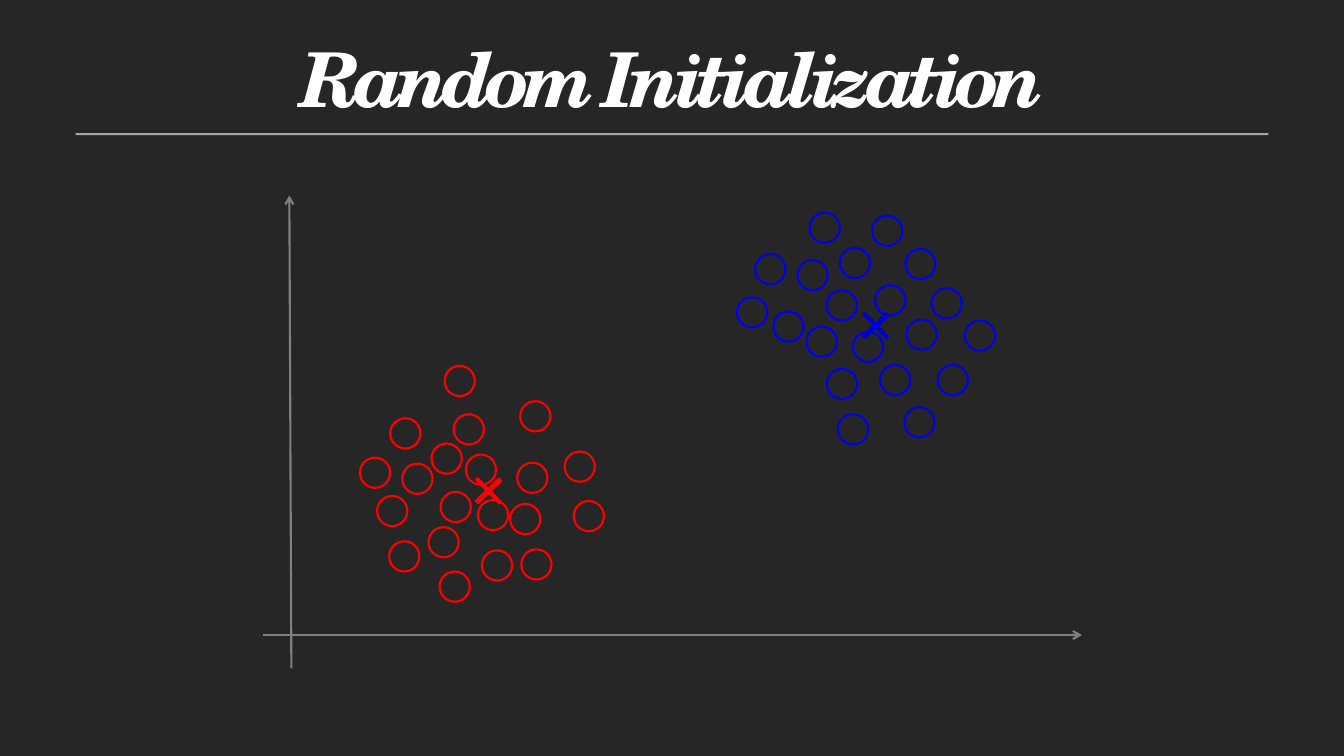
import pptx
import pptx.util
import pptx.dml.color
import pptx.enum.shapes
import pptx.enum.text
import pptx.oxml
import pptx.oxml.ns
from pptx.util import Inches

SHAPES = pptx.enum.shapes.MSO_SHAPE
POINT_SIZE = 0.3
RED_POINTS = [
    (4.74, 4.96), (4.36, 5.67), (3.86, 5.37), (5.17, 5.45), (3.99, 4.6),
    (4.62, 4.51), (4.25, 5.23), (3.74, 4.92), (5.06, 5), (3.87, 4.15),
    (5.13, 4.59), (4.78, 5.46), (4.37, 4.88), (5.69, 4.97), (4.5, 4.11),
    (5.16, 3.98), (3.57, 4.54), (4.28, 4.4), (5.6, 4.48), (4.41, 3.63),
]
BLUE_POINTS = [
    (8.73, 3.62), (8.2, 2.88), (8.31, 4.11), (9.3, 3.62), (7.67, 3.09),
    (8.65, 2.14), (8.46, 3.29), (8.2, 3.66), (8.99, 3.17), (7.49, 2.52),
    (8.68, 2.83), (8.97, 4.04), (8, 3.24), (9.57, 3.18), (8.33, 2.46),
    (8.98, 2.47), (7.31, 2.95), (7.91, 2.58), (9.24, 2.86), (8.03, 2.11),
]


def color(value):
    return pptx.dml.color.RGBColor.from_string(value)


def add_mark(slide, kind, left, top, width, height, fill=None, line=None):
    mark = slide.shapes.add_shape(
        kind, Inches(left), Inches(top), Inches(width), Inches(height))
    mark.shadow.inherit = False
    if fill:
        mark.fill.solid()
        mark.fill.fore_color.rgb = color(fill)
    else:
        mark.fill.background()
    if line:
        mark.line.color.rgb = color(line)
        mark.line.width = pptx.util.Pt(1.5)
    else:
        mark.line.fill.background()
    return mark


def add_title(slide, wording):
    title = slide.shapes.add_textbox(
        Inches(1.13), Inches(0.05), Inches(11.08), Inches(1.17))
    frame = title.text_frame
    frame.word_wrap = True
    frame.auto_size = pptx.enum.text.MSO_AUTO_SIZE.SHAPE_TO_FIT_TEXT
    frame.margin_left = frame.margin_right = frame.margin_bottom = 0
    frame.margin_top = Inches(0.05)
    paragraph = frame.paragraphs[0]
    paragraph.alignment = pptx.enum.text.PP_ALIGN.CENTER
    paragraph.line_spacing = pptx.util.Pt(80.7)
    run = paragraph.add_run()
    run.text = wording
    run.font.name = "TeX Gyre Schola"
    run.font.size = pptx.util.Pt(54)
    run.font.bold = run.font.italic = True
    run.font.color.rgb = color("FFFFFF")
    run.font._element.set("spc", "-480")


def add_axis(slide, x1, y1, x2, y2):
    axis = slide.shapes.add_connector(
        pptx.enum.shapes.MSO_CONNECTOR.STRAIGHT,
        Inches(x1), Inches(y1), Inches(x2), Inches(y2))
    axis.line.color.rgb = color("808080")
    axis.line.width = pptx.util.Pt(1.5)
    namespace = pptx.oxml.ns.nsdecls("a")
    axis.line._get_or_add_ln().append(
        pptx.oxml.parse_xml(f'<a:tailEnd {namespace} type="arrow"/>'))
    axis._element.spPr.append(
        pptx.oxml.parse_xml(f"<a:effectLst {namespace}/>"))


def add_cluster(slide, points, outline):
    for left, top in points:
        add_mark(slide, SHAPES.OVAL, left, top, POINT_SIZE, POINT_SIZE,
                 line=outline)


def add_centroid(slide, left, top, tone):
    centroid = add_mark(slide, SHAPES.CROSS, left, top, 0.33, 0.32, tone, tone)
    centroid.adjustments[0] = 0.466
    centroid.rotation = 45.6


def main():
    deck = pptx.Presentation()
    deck.slide_width = Inches(13.33)
    deck.slide_height = Inches(7.5)
    slide = deck.slides.add_slide(deck.slide_layouts[6])
    slide.background.fill.solid()
    slide.background.fill.fore_color.rgb = color("262626")

    add_mark(slide, SHAPES.RECTANGLE, 0.75, 1.32, 11.83, 0.02, fill="A6A6A6")
    add_title(slide, "Random Initialization")
    add_axis(slide, 2.89, 6.63, 2.87, 1.94)
    add_axis(slide, 2.61, 6.3, 10.73, 6.3)
    add_cluster(slide, RED_POINTS, "FF0000")
    add_cluster(slide, BLUE_POINTS, "0000EE")
    add_centroid(slide, 4.68, 4.71, "FF0000")
    add_centroid(slide, 8.52, 3.07, "0000CC")
    deck.save("out.pptx")


if __name__ == "__main__":
    main()
